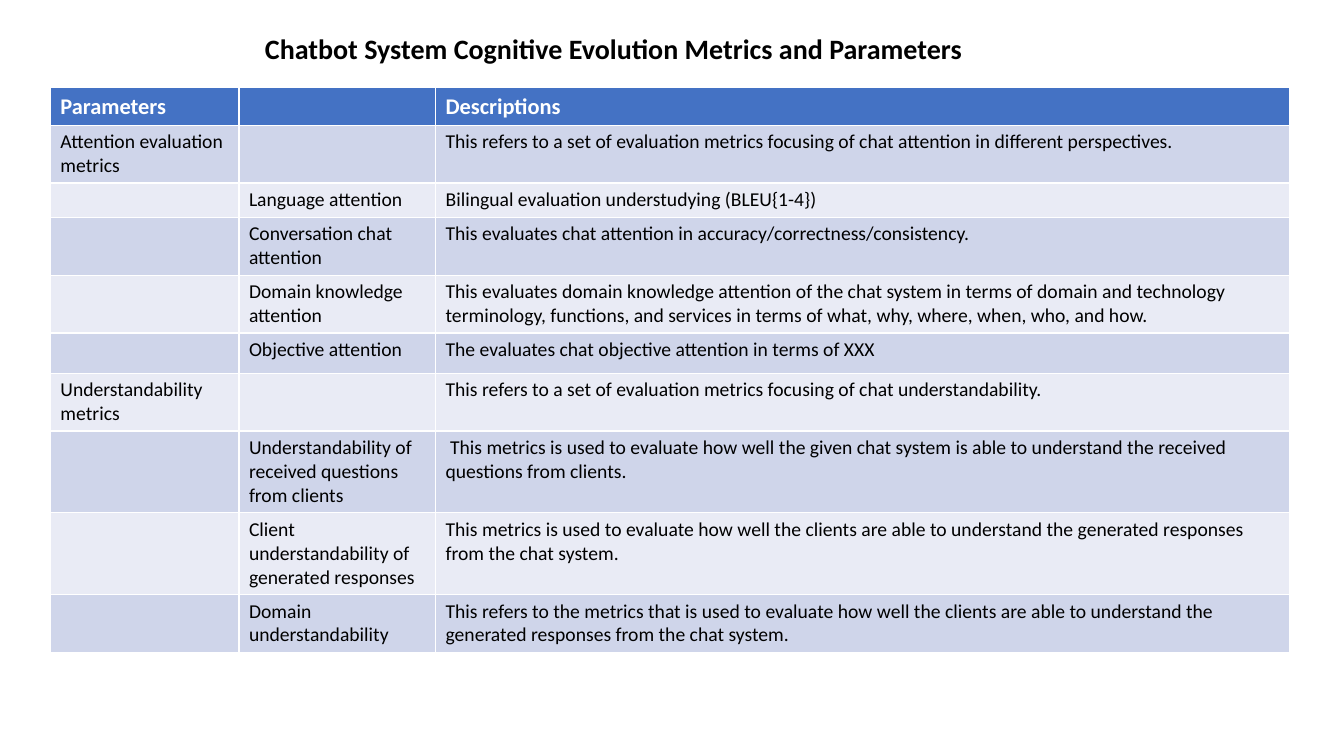
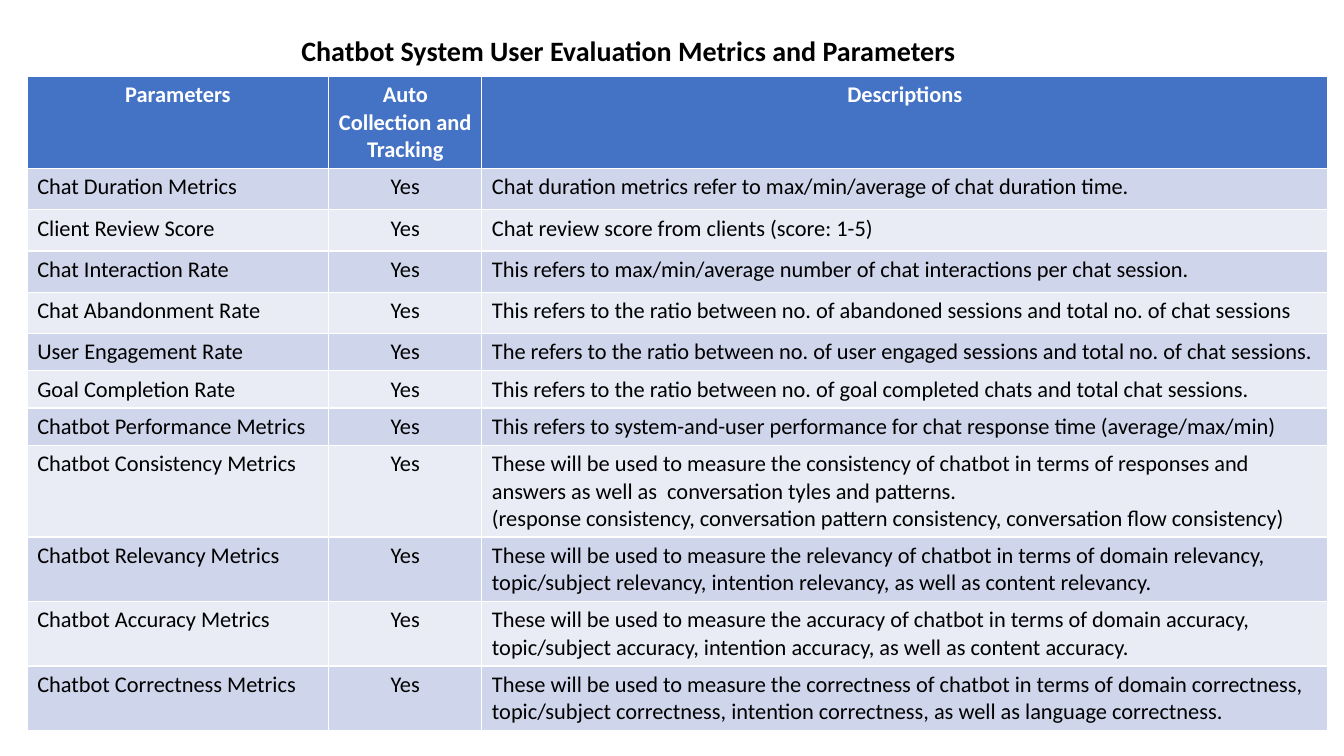
from dataclasses import dataclass

from lxml import etree
from pptx import Presentation
from pptx.dml.color import RGBColor
from pptx.enum.text import MSO_AUTO_SIZE, PP_ALIGN
from pptx.oxml.ns import qn
from pptx.util import Emu, Pt

LEFT, CENTER = PP_ALIGN.LEFT, PP_ALIGN.CENTER
EMU_PER_PX = 9144  # 100 px to the inch
BLANK_LAYOUT = 6


@dataclass(frozen=True)
class Theme:
    font: str = "Calibri"
    ink: RGBColor = RGBColor(0x00, 0x00, 0x00)
    header_ink: RGBColor = RGBColor(0xFF, 0xFF, 0xFF)
    header_fill: RGBColor = RGBColor(0x44, 0x72, 0xC4)
    bands: tuple = (RGBColor(0xCF, 0xD5, 0xEA), RGBColor(0xE9, 0xEB, 0xF5))
    title_size: int = 20
    header_size: int = 16


THEME = Theme()

COGNITIVE_ROWS = [
    ("Parameters", "", "Descriptions"),
    ("Attention evaluation metrics", "",
     "This refers to a set of evaluation metrics focusing of chat attention in different perspectives."),
    ("", "Language attention", "Bilingual evaluation understudying (BLEU{1-4})"),
    ("", "Conversation chat attention",
     "This evaluates chat attention in accuracy/correctness/consistency."),
    ("", "Domain knowledge attention",
     "This evaluates domain knowledge attention of the chat system in terms of domain and technology "
     "terminology, functions, and services in terms of what, why, where, when, who, and how."),
    ("", "Objective attention", "The evaluates chat objective attention in terms of XXX"),
    ("Understandability metrics", "",
     "This refers to a set of evaluation metrics focusing of chat understandability."),
    ("", "Understandability of received questions from clients",
     " This metrics is used to evaluate how well the given chat system is able to understand "
     "the received questions from clients."),
    ("", "Client understandability of generated responses",
     "This metrics is used to evaluate how well the clients are able to understand "
     "the generated responses from the chat system."),
    ("", "Domain understandability",
     "This refers to the metrics that is used to evaluate how well the clients are able to understand "
     "the generated responses from the chat system."),
]

USER_METRICS = [
    ("Chat Duration Metrics",
     "Chat duration metrics refer to max/min/average of chat duration time."),
    ("Client Review Score", "Chat review score from clients (score: 1-5)"),
    ("Chat Interaction Rate",
     "This refers to max/min/average number of chat interactions per chat session."),
    ("Chat Abandonment Rate",
     "This refers to the ratio between no. of abandoned sessions and total no. of chat sessions"),
    ("User Engagement Rate",
     "The refers to the ratio between no. of user engaged sessions and total no. of chat sessions."),
    ("Goal Completion Rate",
     "This refers to the ratio between no. of goal completed chats and total chat sessions."),
    ("Chatbot Performance Metrics",
     "This refers to system-and-user performance for chat response time (average/max/min)"),
    ("Chatbot Consistency Metrics",
     "These will be used to measure the consistency of chatbot in terms of responses and "
     "answers as well as  conversation tyles and patterns.\n"
     "(response consistency, conversation pattern consistency, conversation flow consistency)"),
    ("Chatbot Relevancy Metrics",
     "These will be used to measure the relevancy of chatbot in terms of domain relevancy, "
     "topic/subject relevancy, intention relevancy, as well as content relevancy."),
    ("Chatbot Accuracy Metrics",
     "These will be used to measure the accuracy of chatbot in terms of domain accuracy, "
     "topic/subject accuracy, intention accuracy, as well as content accuracy."),
    ("Chatbot Correctness Metrics",
     "These will be used to measure the correctness of chatbot in terms of domain correctness, "
     "topic/subject correctness, intention correctness, as well as language correctness."),
]
USER_ROWS = [("Parameters", "Auto Collection and Tracking", "Descriptions")]
USER_ROWS += [(name, "Yes", description) for name, description in USER_METRICS]


def px(length):
    return Emu(length * EMU_PER_PX)


def style_paragraph(para, size, color, bold, align=LEFT):
    para.alignment = align
    font = para.font
    font.name, font.size, font.bold = THEME.font, Pt(size), bold
    font.color.rgb = color
    if not para.runs:
        # An empty cell takes its line height from the end mark.
        etree.SubElement(para._p, qn("a:endParaRPr"), sz=str(size * 100))


def add_title(page, box, text):
    frame = page.shapes.add_textbox(*map(px, box)).text_frame
    frame.word_wrap = True
    frame.auto_size = MSO_AUTO_SIZE.SHAPE_TO_FIT_TEXT
    frame.text = text
    para = frame.paragraphs[0]
    para.line_spacing = 1.39
    para.space_before = Pt(15)
    style_paragraph(para, THEME.title_size, THEME.ink, True)


def add_metrics_table(page, origin, widths, heights, rows, body_size, header_align, body_aligns):
    """Place a table with a header row and banded body rows at origin."""
    table = page.shapes.add_table(
        len(rows), len(widths), *map(px, (*origin, sum(widths), sum(heights)))).table
    for column, width in zip(table.columns, widths):
        column.width = px(width)
    for index, (row, height, texts) in enumerate(zip(table.rows, heights, rows)):
        row.height = px(height)
        header = index == 0
        fill = THEME.header_fill if header else THEME.bands[(index - 1) % 2]
        size = THEME.header_size if header else body_size
        color = THEME.header_ink if header else THEME.ink
        for cell, text, body_align in zip(row.cells, texts, body_aligns):
            cell.fill.solid()
            cell.fill.fore_color.rgb = fill
            cell.text = text
            for para in cell.text_frame.paragraphs:
                style_paragraph(para, size, color, header,
                                header_align if header else body_align)


def add_page(deck):
    return deck.slides.add_slide(deck.slide_layouts[BLANK_LAYOUT])


def add_cognitive_page(deck):
    page = add_page(deck)
    add_metrics_table(page, (50, 87), (187, 195, 847),
                      (37, 57, 34, 57, 57, 40, 57, 81, 81, 57), COGNITIVE_ROWS,
                      body_size=14, header_align=LEFT, body_aligns=(LEFT, LEFT, LEFT))
    add_title(page, (253, 13, 720, 53),
              "Chatbot System Cognitive Evolution Metrics and Parameters")


def add_user_page(deck):
    page = add_page(deck)
    add_metrics_table(page, (27, 76), (299, 152, 839),
                      (91, *[41] * 4, *[37] * 3, 91, *[64] * 3), USER_ROWS,
                      body_size=16, header_align=CENTER, body_aligns=(LEFT, CENTER, LEFT))
    add_title(page, (289, 15, 688, 53),
              "Chatbot System User Evaluation Metrics and Parameters")


def main():
    deck = Presentation()
    deck.slide_width, deck.slide_height = px(1333), px(750)
    add_cognitive_page(deck)
    add_user_page(deck)
    deck.save("out.pptx")


if __name__ == "__main__":
    main()
